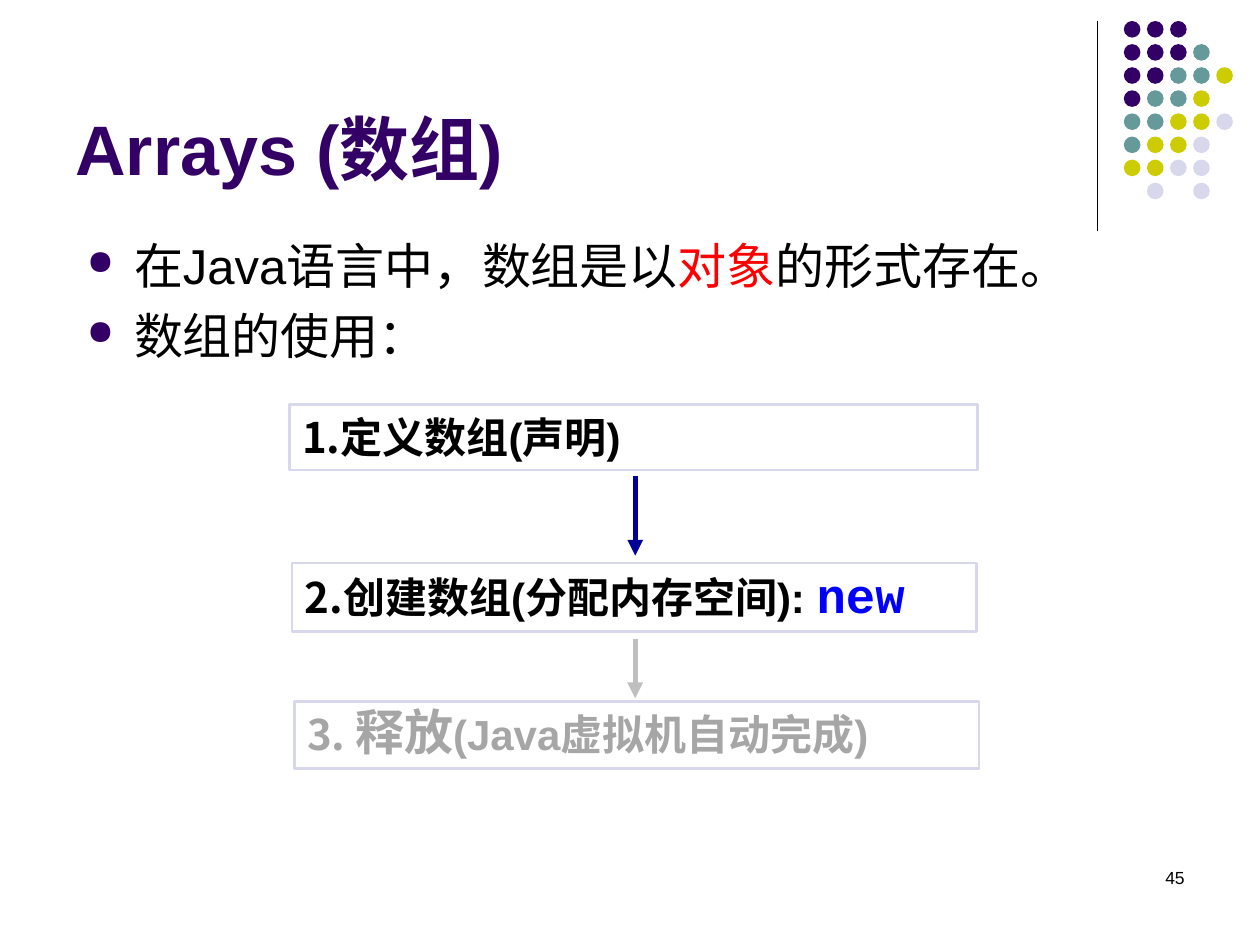
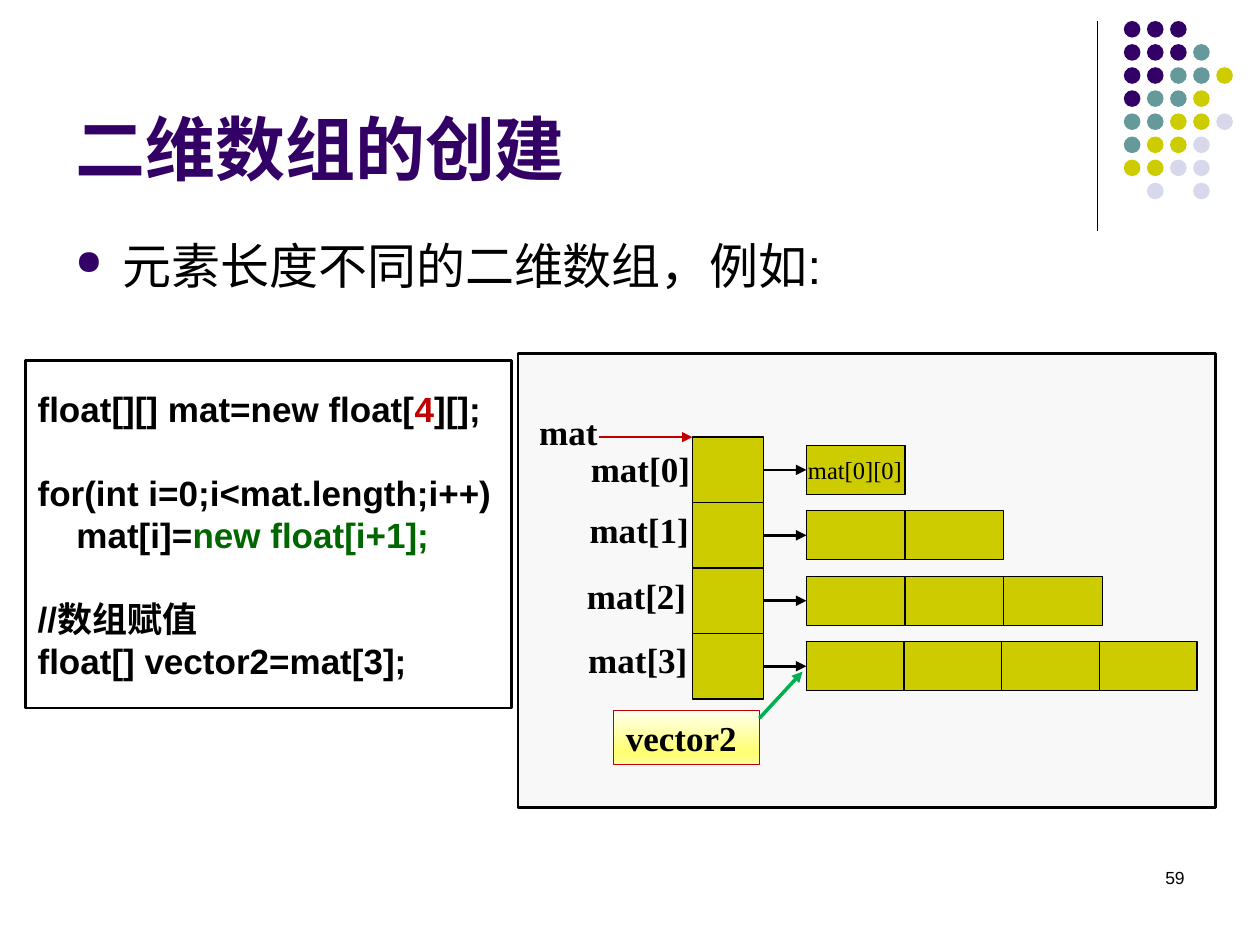
from copy import deepcopy
from lxml.etree import SubElement
from pptx import Presentation
from pptx.dml.color import RGBColor
from pptx.enum.lang import MSO_LANGUAGE_ID
from pptx.enum.shapes import MSO_CONNECTOR, MSO_SHAPE
from pptx.enum.text import MSO_ANCHOR, PP_ALIGN
from pptx.oxml.ns import qn
from pptx.util import Pt

C = {
    "purple": "330066", "teal": "669999", "olive": "CCCC00", "lilac": "D8D8EC",
    "black": "000000", "red": "FF0000", "darkred": "C00000", "blue": "0000FF",
    "navy": "000099", "gray": "A6A6A6", "silver": "BFBFBF", "panel": "F8F8F8",
    "codegreen": "006600", "green": "00B050",
}
SC = "Noto Sans CJK SC"
BODY = {"size": 28}
TITLE = {"size": 40, "bold": True, "color": "purple"}
STEP = {"size": 24, "bold": True}
CODE = {"size": 20, "bold": True}
LABEL = {"size": 20, "bold": True, "name": "Times New Roman"}


def box(s, at, paras=(), base=None, fill=None, edge=None, weight=0.75,
        shape=None, frame=None, para=None, bullet=False):
    """Add a text box, or a preset shape; each paragraph is (space before, run, ...)."""
    at = [Pt(v) for v in at]
    if shape is None:
        sp = s.shapes.add_textbox(*at)
    else:
        sp = s.shapes.add_shape(shape, *at)
        sp.shadow.inherit = False
        sp.fill.background()
        sp.line.fill.background()
    if fill:
        sp.fill.solid()
        sp.fill.fore_color.rgb = RGBColor.from_string(C[fill])
    if edge:
        sp.line.color.rgb = RGBColor.from_string(C[edge])
        sp.line.width = Pt(weight)
    tf = sp.text_frame
    for key, value in {"word_wrap": True, "vertical_anchor": MSO_ANCHOR.TOP, **(frame or {})}.items():
        setattr(tf, key, value)
    for i, (gap, *runs) in enumerate(paras):
        p = tf.add_paragraph() if i else tf.paragraphs[0]
        for key, value in {"alignment": PP_ALIGN.LEFT, "space_before": Pt(gap), **(para or {})}.items():
            setattr(p, key, value)
        if bullet:
            pPr = p._p.get_or_add_pPr()
            pPr.set("marL", str(Pt(27)))
            pPr.set("indent", str(-Pt(27)))
            SubElement(SubElement(pPr, qn("a:buClr")), qn("a:srgbClr"), val=C["purple"])
            SubElement(pPr, qn("a:buSzPct"), val="70000")
            SubElement(pPr, qn("a:buChar"), char="●")
        for text, own in runs:
            r = p.add_run()
            r.text = text
            fmt = {"name": "Arial", "color": "black", **(base or {}), **own}
            r.font.color.rgb = RGBColor.from_string(C[fmt.pop("color")])
            fmt["size"] = Pt(fmt["size"])
            fmt["language_id"] = MSO_LANGUAGE_ID.SIMPLIFIED_CHINESE
            for key, value in fmt.items():
                setattr(r.font, key, value)
            r.font._element.find(qn("a:latin")).addnext(
                r.font._element.makeelement(qn("a:ea"), {"typeface": "Arial"}))
    return sp


def line(s, x1, y1, x2, y2, color, weight, arrow=True):
    cx = s.shapes.add_connector(MSO_CONNECTOR.STRAIGHT, Pt(x1), Pt(y1), Pt(x2), Pt(y2))
    cx.line.color.rgb = RGBColor.from_string(C[color])
    cx.line.width = Pt(weight)
    if arrow:
        SubElement(cx.line._get_or_add_ln(), qn("a:tailEnd"), type="triangle")
    SubElement(cx._element.spPr, qn("a:effectLst"))
    return cx


prs = Presentation()
prs.slide_width, prs.slide_height = Pt(720), Pt(540)

# Shared frame: rule, dot pattern, page number, title
DOTS = ["PPP", "PPPT", "PPTTY", "PTTY", "TTYYL", "TYYL", "YYLL", " L L"]
DOT_COLORS = {"P": "purple", "T": "teal", "Y": "olive", "L": "lilac"}
slides = []
for number, title in [("45", "Arrays (数组)"), ("59", "二维数组的创建")]:
    s = prs.slides.add_slide(prs.slide_layouts[6])
    line(s, 627, 12, 627, 132, "black", 0.75, arrow=False)
    for row, dots in enumerate(DOTS):
        for col, dot in enumerate(dots):
            if dot != " ":
                box(s, (642.2 + 13.2 * col, 12 + 13.2 * row, 9.5, 9.5),
                    fill=DOT_COLORS[dot], shape=MSO_SHAPE.OVAL)
    box(s, (516, 492, 168, 36), [(0, (number, {"size": 10}))],
        para={"alignment": PP_ALIGN.RIGHT})
    box(s, (36, 9.4, 594, 102.2), [(0, (title, TITLE))],
        frame={"vertical_anchor": MSO_ANCHOR.BOTTOM})
    slides.append(s)

# Slide 1: using arrays in three steps
s = slides[0]
box(s, (42.5, 131, 641, 352), [
    (0, ("在Java语言中，数组是以", {}),
     ("对象", {"name": "Noto Sans CJK JP", "color": "red"}), ("的形式存在。", {})),
    (6.4, ("数组的使用：", {})),
], BODY, bullet=True)

steps = [
    ((165.6, 231, 393, 37.5), 1.0,
     [("1.", {"name": SC}), ("定义数组(声明)", {})]),
    ((167, 321.8, 391, 39), 0.9,
     [("2.", {"name": SC}), ("创建数组(分配内存空间): ", {}),
      ("new", {"size": 28, "name": "Courier New", "color": "blue"})]),
    ((168.5, 401, 391, 38), 0.9,
     [("3. ", {"name": SC, "color": "gray"}),
      ("释放", {"size": 28, "name": "Courier New", "color": "gray"}),
      ("(Java虚拟机自动完成)", {"color": "gray"})]),
]
for at, spacing, runs in steps:
    box(s, at, [(0, *runs)], STEP, edge="lilac", weight=1.5, shape=MSO_SHAPE.RECTANGLE,
        frame={"vertical_anchor": MSO_ANCHOR.MIDDLE}, para={"line_spacing": spacing})
for top, bottom, color in [(272, 317.5, "navy"), (365, 399, "silver")]:
    line(s, 363, top, 363, bottom, color, 3)

# Slide 2: rows of different lengths
s = slides[1]
box(s, (36, 131, 648, 352),
    [(0, ("元素长度不同", {"name": SC}), ("的二维数组，例如:", {}))], BODY, bullet=True)

# Code
box(s, (14.4, 206, 278, 198.7), [
    (0, ("float[][] mat=new float[", {}), ("4", {"color": "darkred"}), ("][];", {})),
    (24, ("for(int i=0;i<mat.length;i++)", {})),
    (0, ("    mat[i]=", {}), ("new float[i+1];", {"color": "codegreen"})),
    (24, ("//数组赋值", {})),
    (0, ("float[] vector2=mat[3];", {})),
], CODE, edge="black", weight=1.5, shape=MSO_SHAPE.RECTANGLE,
    frame={"word_wrap": False, "vertical_anchor": MSO_ANCHOR.MIDDLE},
    para={"line_spacing": Pt(24)})

# Memory diagram: one reference cell per row, joined to its row of elements
box(s, (296, 202, 398.5, 259.5), fill="panel", edge="black", weight=1.5,
    shape=MSO_SHAPE.RECTANGLE)
CELL = {"fill": "olive", "edge": "black", "shape": MSO_SHAPE.RECTANGLE}
ROW = 37.4
labels = [(330.5, 252), (329.8, 287.3), (328.3, 324.7), (329, 361.4)]
for i, (x, y) in enumerate(labels):
    top = 249.8 + ROW * i
    ref = box(s, (395.7, top, 40.8, ROW), **CELL)
    step = 55.8 if i == 3 else 56.4
    elements = [box(s, (460.8 + step * j, top + 4.7, step, 28), **CELL) for j in range(i + 1)]
    arrow = line(s, 436.5, top + ROW / 2, 460.8, top + ROW / 2, "black", 1.5)
    arrow.begin_connect(ref, 3)
    arrow.end_connect(elements[0], 1)
    box(s, (x, y, 73.5, 31), [(0, (f"mat[{i}]", LABEL))])
box(s, (452.2, 256.3, 72.7, 24.5),
    [(0, ("mat[0][0]", {"size": 14, "name": "Times New Roman"}))],
    para={"alignment": PP_ALIGN.CENTER})

# Variables that point into the diagram
box(s, (301, 231, 52.6, 31), [(0, ("mat", LABEL))])
line(s, 342, 249.8, 395.7, 249.8, "darkred", 1.5)
sp = box(s, (350.6, 406, 83.5, 31), [(0, ("vector2", LABEL))], edge="darkred",
         shape=MSO_SHAPE.RECTANGLE)
sp.fill.gradient()
sp.fill.gradient_angle = 270
gsLst = sp._element.spPr.find(qn("a:gradFill")).find(qn("a:gsLst"))
for stop in list(gsLst):
    gsLst.append(deepcopy(stop))
shades = [(0, "FFFFF0"), (0.74, "FFFF75"), (0.83, "FFFF75"), (1, "FFFFA3")]
for stop, (position, shade) in zip(sp.fill.gradient_stops, shades):
    stop.position = position
    stop.color.rgb = RGBColor.from_string(shade)
line(s, 434, 410.4, 458.6, 383.8, "green", 2)

prs.save("out.pptx")
